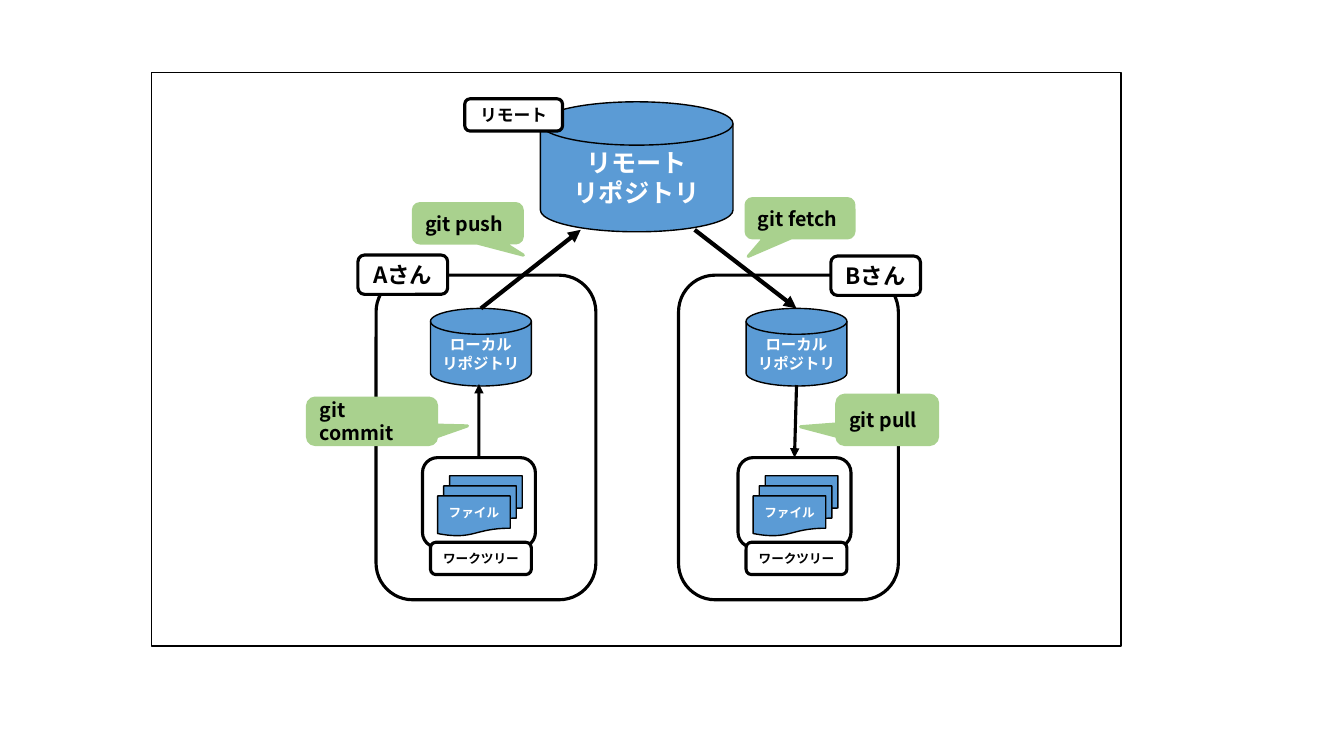
import pptx
import pptx.dml.color
import pptx.enum.shapes
import pptx.enum.text
import pptx.util
from pptx.util import Inches

RGB = pptx.dml.color.RGBColor
BLACK = RGB(0x00, 0x00, 0x00)
WHITE = RGB(0xFF, 0xFF, 0xFF)
BLUE = RGB(0x5B, 0x9B, 0xD5)
GREEN = RGB(0xA9, 0xD1, 0x8E)
FONT = "Noto Sans CJK JP"
MSO = pptx.enum.shapes.MSO_SHAPE
ALIGN = pptx.enum.text.PP_ALIGN


def add_box(s, kind, box, fill=None, line=BLACK, width=2.25):
    sp = s.shapes.add_shape(kind, *(Inches(v) for v in box))
    sp.shadow.inherit = False
    if fill is None:
        sp.fill.background()
    else:
        sp.fill.solid()
        sp.fill.fore_color.rgb = fill
    sp.line.color.rgb = line
    sp.line.width = pptx.util.Pt(width)
    return sp


def write(sp, lines, size, color, align=ALIGN.CENTER, inset=0.05):
    tf = sp.text_frame
    tf.word_wrap = True
    tf.vertical_anchor = pptx.enum.text.MSO_ANCHOR.MIDDLE
    tf.margin_left = tf.margin_right = Inches(inset)
    for i, line in enumerate(lines):
        p = tf.add_paragraph() if i else tf.paragraphs[0]
        p.alignment = align
        r = p.add_run()
        r.text = line
        r.font.size = pptx.util.Pt(size)
        r.font.bold = True
        r.font.name = FONT
        r.font.color.rgb = color
        ea = pptx.oxml.xmlchemy.OxmlElement("a:ea")
        ea.set("typeface", FONT)
        r.font._element.find(pptx.oxml.ns.qn("a:latin")).addnext(ea)


def add_repository(s, box, name, size):
    disk = add_box(s, MSO.FLOWCHART_MAGNETIC_DISK, box, BLUE, width=1)
    write(disk, [name, "リポジトリ"], size, WHITE)


def add_label(s, box, text, size):
    write(add_box(s, MSO.ROUNDED_RECTANGLE, box, WHITE), [text], size, BLACK)


def add_callout(s, box, tip, command):
    """tip is the pointer's offset from the centre, in widths and heights."""
    sp = add_box(s, MSO.ROUNDED_RECTANGULAR_CALLOUT, box, GREEN, GREEN)
    sp.adjustments[0], sp.adjustments[1] = tip
    write(sp, [command], 14, BLACK, ALIGN.LEFT, 0.1)


def add_arrow(s, start, end, width):
    c = s.shapes.add_connector(pptx.enum.shapes.MSO_CONNECTOR.STRAIGHT,
                               *(Inches(v) for v in start + end))
    c.line.color.rgb = BLACK
    c.line.width = pptx.util.Pt(width)
    tail = pptx.oxml.xmlchemy.OxmlElement("a:tailEnd")
    tail.set("type", "triangle")
    c.line._get_or_add_ln().append(tail)
    c._element.spPr.append(pptx.oxml.xmlchemy.OxmlElement("a:effectLst"))
    return c


def add_person(s, x, panel_x, name, name_box):
    """Draw one developer's panel, with the repository at x; return the work tree."""
    add_box(s, MSO.ROUNDED_RECTANGLE, (panel_x, 2.73, 2.18, 3.22))
    add_repository(s, (x, 3.06, 1, 0.77), "ローカル", 11)
    for i in (2, 1, 0):
        page = add_box(s, MSO.FLOWCHART_DOCUMENT,
                       (x + 0.07 + 0.06 * i, 4.92 - 0.1 * i, 0.72, 0.4), BLUE, width=1)
    write(page, ["ファイル"], 9, WHITE)
    tree = add_box(s, MSO.ROUNDED_RECTANGLE, (x - 0.08, 4.54, 1.12, 0.89))
    add_label(s, (x, 5.38, 1, 0.32), "ワークツリー", 9)
    add_label(s, name_box, name, 16)
    return tree


def main():
    prs = pptx.Presentation()
    prs.slide_width, prs.slide_height = Inches(13.33), Inches(7.5)
    s = prs.slides.add_slide(prs.slide_layouts[6])

    add_box(s, MSO.RECTANGLE, (1.5, 0.72, 9.62, 5.69), width=1)
    add_repository(s, (5.36, 1.01, 1.91, 1.29), "リモート", 18)
    add_label(s, (4.61, 0.98, 0.97, 0.32), "リモート", 12)
    tree_a = add_person(s, 4.27, 3.73, "Aさん", (3.55, 2.53, 0.89, 0.39))
    tree_b = add_person(s, 7.4, 6.73, "Bさん", (8.24, 2.54, 0.89, 0.39))

    add_arrow(s, (4.74, 4.54), (4.75, 3.81), 2.25).begin_connect(tree_a, 0)
    add_arrow(s, (7.9, 3.82), (7.89, 4.54), 2.25).end_connect(tree_b, 0)
    add_arrow(s, (4.77, 3.06), (5.76, 2.28), 3)
    add_arrow(s, (6.89, 2.28), (7.9, 3.06), 3)

    add_callout(s, (3.05, 3.95, 1.28, 0.46), (0.74, 0.1), "git commit")
    add_callout(s, (4.1, 2.02, 1.08, 0.39), (0.51, 0.81), "git push")
    add_callout(s, (7.4, 1.97, 1.07, 0.39), (-0.48, 0.97), "git fetch")
    add_callout(s, (8.3, 3.92, 1, 0.49), (-0.86, 0.14), "git pull")
    prs.save("out.pptx")


if __name__ == "__main__":
    main()
